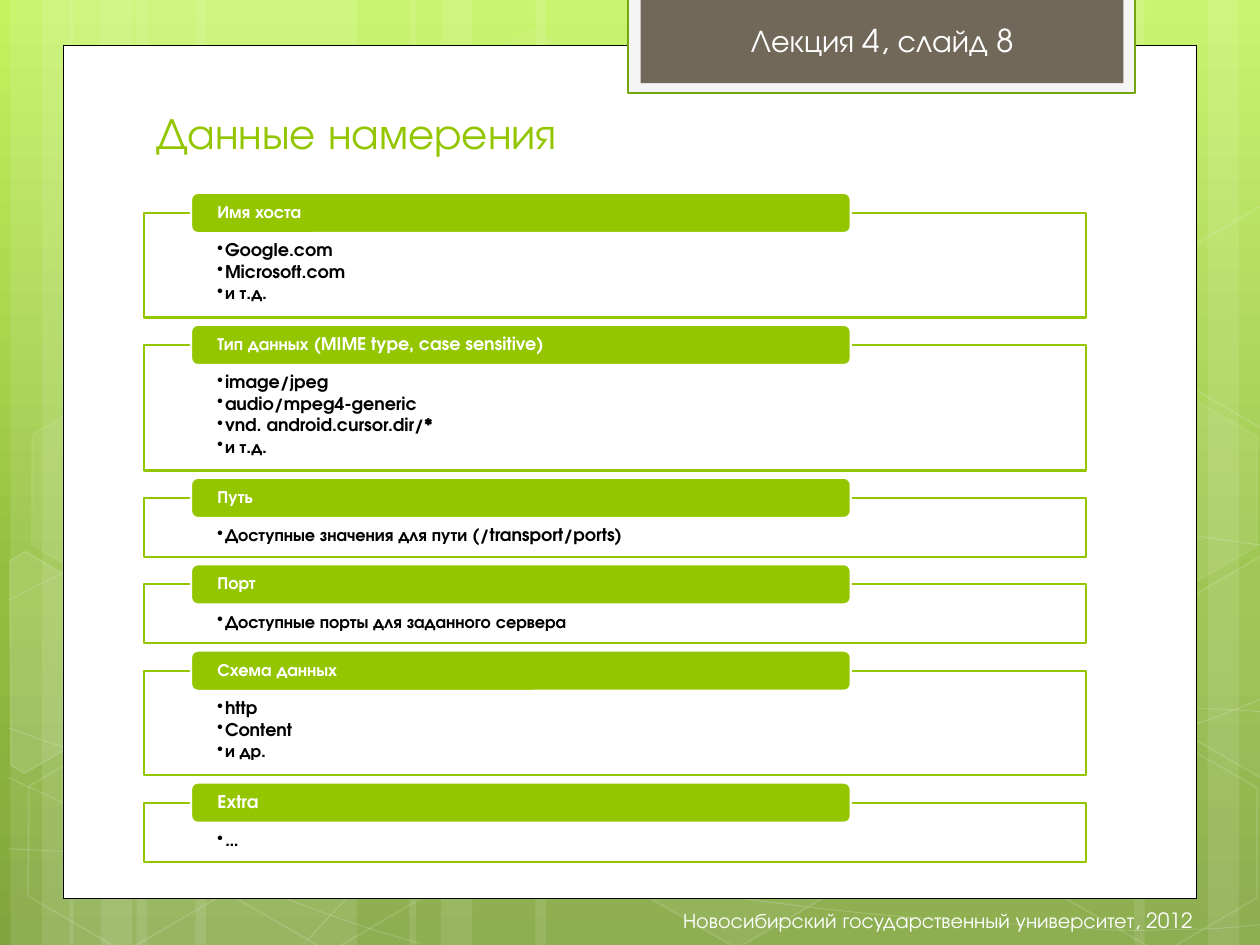
import math
from copy import deepcopy

from lxml import etree
from pptx import Presentation
from pptx import util as u
from pptx.dml import color
from pptx.enum import shapes, text
from pptx.oxml import ns

Pt = u.Pt
FONT = "TeX Gyre Adventor"
COLOURS = {
    "white": "FFFFFF",
    "black": "000000",
    "green": "94C600",
    "dark_green": "74A510",
    "pale": "F5F5F5",
    "brown": "71685A",
    "sky": "C3F35F",
    "meadow": "93BF3F",
    "grass": "81A53E",
}
RGB = {name: color.RGBColor.from_string(value) for name, value in COLOURS.items()}


def paint(shape, fill=None, line=None, width=1, fill_alpha=100, line_alpha=100):
    shape.shadow.inherit = False
    alphas = []
    if fill:
        shape.fill.solid()
        shape.fill.fore_color.rgb = RGB[fill]
        alphas.append(fill_alpha)
    else:
        shape.fill.background()
    if line:
        shape.line.color.rgb = RGB[line]
        shape.line.width = Pt(width)
        alphas.append(line_alpha)
    else:
        shape.line.fill.background()
    for node, alpha in zip(shape.element.spPr.iter(ns.qn("a:srgbClr")), alphas):
        if alpha < 100:
            etree.SubElement(node, ns.qn("a:alpha")).set("val", str(alpha * 1000))


def write(shape, content, size, colour, anchor, align=text.PP_ALIGN.LEFT, bold=False):
    frame = shape.text_frame
    frame.word_wrap = True
    frame.vertical_anchor = anchor
    frame.text = content
    for paragraph in frame.paragraphs:
        paragraph.alignment = align
        for run in paragraph.runs:
            run.font.name = FONT
            run.font.size = Pt(size)
            run.font.bold = bold
            run.font.color.rgb = RGB[colour]
    return frame


presentation = Presentation()
presentation.slide_width, presentation.slide_height = Pt(720), Pt(540)
slide = presentation.slides.add_slide(presentation.slide_layouts[6])
preset = shapes.MSO_SHAPE
anchors = text.MSO_ANCHOR

background = slide.background.fill
background.gradient()
background.gradient_angle = 270
stop_list = slide.element.find(".//" + ns.qn("a:gsLst"))
stop_list.append(deepcopy(stop_list[-1]))
for stop, (position, name) in zip(
    background.gradient_stops, [(0, "sky"), (0.62, "meadow"), (1, "grass")]
):
    stop.position = position
    stop.color.rgb = RGB[name]

stripes = [
    (78, 126, 0), (6, 36, 0), (24, 60, 0), (111.6, 126, 0), (39.6, 36, 0), (57.6, 60, 0),
    (528, 126, 180), (690, 36, 180), (648, 60, 180), (306, 222, 0), (234, 36, 0), (252, 60, 0),
]
for left, width, rotation in stripes:
    stripe = slide.shapes.add_shape(preset.RECTANGLE, Pt(left), 0, Pt(width), Pt(540))
    stripe.rotation = rotation
    paint(stripe, "white", fill_alpha=10)

curves = [
    [(5, 485), (44, 487), (83, 489), (137, 488), (191, 487), (258, 486), (330, 479),
     (402, 472), (504, 458), (570, 444), (636, 431), (703, 409), (725, 397)],
    [(5, 343), (26, 332), (47, 321), (87, 310), (128, 300), (187, 284), (250, 279),
     (314, 274), (392, 273), (471, 279), (550, 284), (682, 307), (725, 312)],
    [(4, 444), (91, 484), (178, 523), (240, 539)],
    [(5, 416), (27, 424), (50, 432), (92, 444), (134, 454), (197, 472), (257, 485),
     (317, 497), (392, 510), (452, 517), (512, 525), (576, 528), (614, 530),
     (652, 533), (662, 531), (680, 531), (699, 531), (712, 529), (725, 528)],
    [(174, 539), (187, 525), (200, 510), (217, 498), (235, 485), (259, 470), (279, 460),
     (300, 450), (312, 446), (338, 438), (364, 431), (413, 421), (438, 416),
     (464, 411), (467, 411), (490, 410), (512, 408), (547, 405), (572, 405),
     (597, 404), (638, 405), (638, 405), (654, 405), (670, 405), (686, 405),
     (699, 405), (711, 406), (724, 407)],
]
for knots in curves:
    builder = slide.shapes.build_freeform(*knots[0], scale=Pt(1))
    builder.add_line_segments(knots[1:], close=False)
    curve = builder.convert_to_shape()
    outline = curve.element.find(".//" + ns.qn("a:path"))
    lines = outline.findall(ns.qn("a:lnTo"))
    for start in range(0, len(lines), 3):
        bend = etree.SubElement(outline, ns.qn("a:cubicBezTo"))
        for line in lines[start:start + 3]:
            bend.append(line[0])
            outline.remove(line)
    paint(curve, line="white", width=0.5, line_alpha=20)

hexagons = [
    (241, 26, 4, 8), (358, 424, 6, 12), (8, 426, 0, 12), (10, 225, 7, 8),
    (125, 426, 0, 12), (542, 326, 10, 12), (600.5, 427, 0, 12), (600.5, 226, 7, 8),
]
for left, top, fill_alpha, line_alpha in hexagons:
    hexagon = slide.shapes.add_shape(preset.HEXAGON, Pt(left), Pt(top), Pt(126), Pt(109.5))
    hexagon.adjustments[0] = 0.285
    hexagon.rotation = 30
    paint(hexagon, "white" if fill_alpha else None, "white", 1, fill_alpha, line_alpha)

left_cut = [(6, 320), (14, 315), (69, 347), (68, 410), (14, 442), (6, 437)]
right_cut = [(667, 349), (721, 317), (726, 321), (726, 441), (721, 444), (667, 413)]
upper_cut = [(x, y - 200) for x, y in right_cut]
cosine, sine = math.cos(math.radians(30)), math.sin(math.radians(30))
cut_hexagons = [
    (left_cut, 26, 385, 10), (right_cut, 709, 374.5, 4), (upper_cut, 709, 174.5, 0),
]
for corners, center_x, center_y, fill_alpha in cut_hexagons:
    turned = [
        (center_x + (x - center_x) * cosine + (y - center_y) * sine,
         center_y - (x - center_x) * sine + (y - center_y) * cosine)
        for x, y in corners
    ]
    builder = slide.shapes.build_freeform(*turned[0], scale=Pt(1))
    builder.add_line_segments(turned[1:])
    cut_hexagon = builder.convert_to_shape()
    cut_hexagon.rotation = 30
    paint(cut_hexagon, "white" if fill_alpha else None, "white", 1, fill_alpha, 12)

panels = [
    (36, 26, 648, 487.2, "white", "black", 0.5),
    (359, -1.5, 289.5, 54.5, "pale", "dark_green", 1.25),
    (366, -1.5, 276, 49, "brown", None, 0),
]
for left, top, width, height, fill, line, weight in panels:
    panel = slide.shapes.add_shape(preset.RECTANGLE, Pt(left), Pt(top), Pt(width), Pt(height))
    paint(panel, fill, line, weight)

title = slide.shapes.add_textbox(Pt(82.3), Pt(66), Pt(553), Pt(28))
write(title, "Данные намерения", 25.2, "green", anchors.BOTTOM)
footer = slide.shapes.add_textbox(Pt(286.3), Pt(511), Pt(402.5), Pt(29))
write(footer, "Новосибирский государственный университет, 2012", 12, "white",
      anchors.MIDDLE, text.PP_ALIGN.RIGHT)
header = slide.shapes.add_textbox(Pt(422), Pt(8.5), Pt(176.5), Pt(29))
header_frame = write(header, "Лекция 4, слайд 8", 18, "white", anchors.TOP)
header_frame.word_wrap = False
header_frame.auto_size = text.MSO_AUTO_SIZE.SHAPE_TO_FIT_TEXT

sections = [
    ("Имя хоста", ["Google.com", "Microsoft.com", "и т.д."]),
    ("Тип данных (MIME type, case sensitive)",
     ["image/jpeg", "audio/mpeg4-generic", "vnd. android.cursor.dir/*", "и т.д."]),
    ("Путь", ["Доступные значения для пути (/transport/ports)"]),
    ("Порт", ["Доступные порты для заданного сервера"]),
    ("Схема данных", ["http", "Content", "и др."]),
    ("Extra", ["…"]),
]
BOX_HEIGHTS = {1: 33.8, 3: 59.8, 4: 71.8}
GAP = 15.6
TAB_HEIGHT = 23
top = 121.7
for heading, items in sections:
    height = BOX_HEIGHTS[len(items)]
    box = slide.shapes.add_shape(preset.RECTANGLE, Pt(82.3), Pt(top), Pt(538.4), Pt(height))
    paint(box, "white", "green", 1.25, fill_alpha=90)
    frame = write(box, "\n".join(items), 10, "black", anchors.TOP, bold=True)
    frame.margin_left = frame.margin_right = Pt(41.8)
    frame.margin_top, frame.margin_bottom = Pt(16.4), Pt(5.7)
    for paragraph in frame.paragraphs:
        paragraph.level = 1
        properties = paragraph._p.get_or_add_pPr()
        properties.set("marL", str(Pt(4.5)))
        properties.set("indent", str(Pt(-4.5)))
        etree.SubElement(properties, ns.qn("a:buChar")).set("char", "••")
        paragraph.line_spacing = 0.9
        paragraph.space_after = Pt(1.5)

    tab = slide.shapes.add_shape(
        preset.ROUNDED_RECTANGLE, Pt(109.2), Pt(top - TAB_HEIGHT / 2), Pt(377), Pt(TAB_HEIGHT)
    )
    paint(tab, "green", "white", 1.25)
    frame = write(tab, heading, 10, "white", anchors.MIDDLE, bold=True)
    frame.margin_left = frame.margin_right = Pt(14)
    frame.margin_top = frame.margin_bottom = 0
    frame.paragraphs[0].line_spacing = 0.9
    top += height + GAP

presentation.save("out.pptx")
